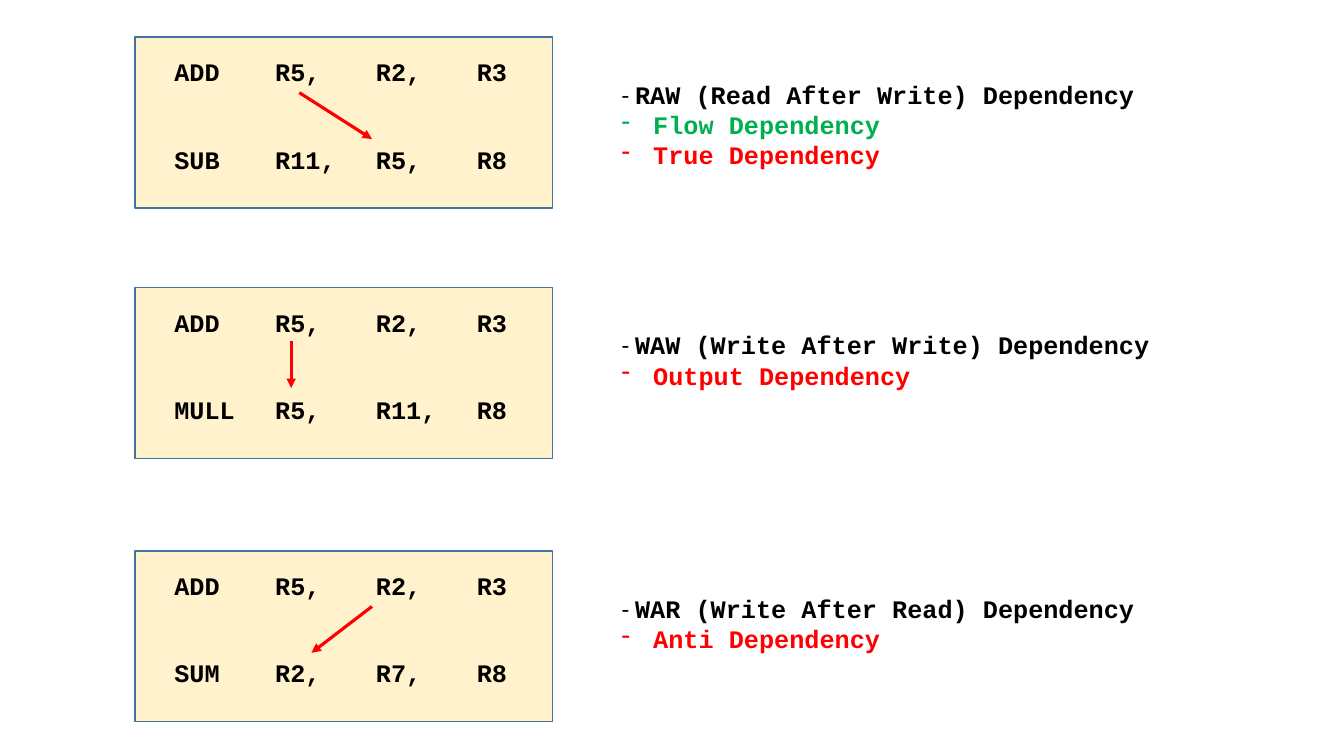
from dataclasses import dataclass

from lxml.etree import SubElement
from pptx import Presentation
from pptx.dml.color import RGBColor
from pptx.enum.shapes import MSO_CONNECTOR, MSO_SHAPE
from pptx.enum.text import MSO_AUTO_SIZE
from pptx.oxml.ns import qn
from pptx.slide import Slide
from pptx.text.text import TextFrame, _Paragraph
from pptx.util import Pt

BLACK = RGBColor(0x00, 0x00, 0x00)
RED = RGBColor(0xFF, 0x00, 0x00)
GREEN = RGBColor(0x00, 0xB0, 0x50)
CREAM = RGBColor(0xFF, 0xF2, 0xCC)
BLUE = RGBColor(0x43, 0x73, 0x9E)

CODE_FONT = "Courier New"
DASH_FONT = "Calibri"

PANEL_LEFT, PANEL_WIDTH, PANEL_HEIGHT = 96.5, 298, 122
CODE_LEFT, CODE_WIDTH, CODE_HEIGHT = 117.5, 327, 29
NOTE_LEFT, NOTE_WIDTH, NOTE_LINE = 437, 395, 21.6
FIRST_DROP, SECOND_DROP, NOTE_DROP = 10.3, 72.7, 26.5
INDENT = 22.5


@dataclass(frozen=True)
class Alias:
    """Another name of a dependency, and its colour."""

    name: str
    color: RGBColor


@dataclass(frozen=True)
class Hazard:
    """Two instructions, the arrow between them and the names of the hazard.

    The arrow points are measured from the slide's left and the panel's top.
    """

    top: float
    second: str
    start: tuple[float, float]
    end: tuple[float, float]
    title: str
    aliases: tuple[Alias, ...]


FIRST_INSTRUCTION = "ADD \tR5, \tR2, \tR3"
HAZARDS = (
    Hazard(26.6, "SUB \tR11, \tR5, \tR8", (213.8, 39.6), (265.7, 72.7),
           "RAW (Read After Write) Dependency",
           (Alias("Flow Dependency", GREEN), Alias("True Dependency", RED))),
    Hazard(205.4, "MULL \tR5, \tR11, \tR8", (208, 38.2), (208, 71.8),
           "WAW (Write After Write) Dependency",
           (Alias("Output Dependency", RED),)),
    Hazard(393.6, "SUM \tR2, \tR7, \tR8", (265.7, 39.6), (222.5, 72.7),
           "WAR (Write After Read) Dependency",
           (Alias("Anti Dependency", RED),)),
)


def add_span(para: _Paragraph, text: str, *, font: str = CODE_FONT,
             color: RGBColor = BLACK, bold: bool = True) -> None:
    """Append formatted text to a paragraph."""
    span = para.add_run()
    span.text = text
    span.font.name = font
    span.font.size = Pt(18)
    span.font.bold = bold
    span.font.color.rgb = color


def add_box(page: Slide, left: float, top: float, width: float,
            height: float) -> TextFrame:
    """Add a wrapping text box and return its text frame."""
    box = page.shapes.add_textbox(Pt(left), Pt(top), Pt(width), Pt(height))
    frame = box.text_frame
    frame.word_wrap = True
    frame.auto_size = MSO_AUTO_SIZE.SHAPE_TO_FIT_TEXT
    return frame


def add_panel(page: Slide, top: float) -> None:
    """Draw the cream panel behind a pair of instructions."""
    panel = page.shapes.add_shape(MSO_SHAPE.RECTANGLE, Pt(PANEL_LEFT), Pt(top),
                                  Pt(PANEL_WIDTH), Pt(PANEL_HEIGHT))
    panel.shadow.inherit = False
    panel.fill.solid()
    panel.fill.fore_color.rgb = CREAM
    panel.line.color.rgb = BLUE
    panel.line.width = Pt(1)


def add_instruction(page: Slide, text: str, top: float) -> None:
    """Write one line of assembly code."""
    frame = add_box(page, CODE_LEFT, top, CODE_WIDTH, CODE_HEIGHT)
    add_span(frame.paragraphs[0], text)


def add_arrow(page: Slide, hazard: Hazard) -> None:
    """Draw the arrow between the registers that conflict."""
    (start_x, start_y), (end_x, end_y) = hazard.start, hazard.end
    arrow = page.shapes.add_connector(
        MSO_CONNECTOR.STRAIGHT, Pt(start_x), Pt(hazard.top + start_y),
        Pt(end_x), Pt(hazard.top + end_y))
    arrow.line.color.rgb = RED
    arrow.line.width = Pt(2.25)
    SubElement(arrow.line._get_or_add_ln(), qn("a:tailEnd"), type="triangle")
    SubElement(arrow._element.spPr, qn("a:effectLst"))


def add_dash_bullet(para: _Paragraph) -> None:
    """Give a paragraph a hanging dash in the font of its text."""
    properties = para._p.get_or_add_pPr()
    properties.set("marL", str(Pt(INDENT)))
    properties.set("indent", str(-Pt(INDENT)))
    SubElement(properties, qn("a:buFontTx"))
    SubElement(properties, qn("a:buChar"), char="-")


def add_note(page: Slide, hazard: Hazard) -> None:
    """List the names of a hazard beside its panel."""
    height = 7.2 + NOTE_LINE * (1 + len(hazard.aliases))
    frame = add_box(page, NOTE_LEFT, hazard.top + NOTE_DROP, NOTE_WIDTH, height)
    title = frame.paragraphs[0]
    add_span(title, "- ", font=DASH_FONT, bold=False)
    add_span(title, hazard.title)
    for alias in hazard.aliases:
        para = frame.add_paragraph()
        add_dash_bullet(para)
        add_span(para, alias.name, color=alias.color)


def add_hazard(page: Slide, hazard: Hazard) -> None:
    """Draw one hazard with its code, arrow and names."""
    add_panel(page, hazard.top)
    add_instruction(page, FIRST_INSTRUCTION, hazard.top + FIRST_DROP)
    add_instruction(page, hazard.second, hazard.top + SECOND_DROP)
    add_arrow(page, hazard)
    add_note(page, hazard)


def main() -> None:
    """Build and save the deck."""
    deck = Presentation()
    deck.slide_width, deck.slide_height = Pt(960), Pt(540)
    page = deck.slides.add_slide(deck.slide_layouts[6])
    for hazard in HAZARDS:
        add_hazard(page, hazard)
    deck.save("out.pptx")


main()
